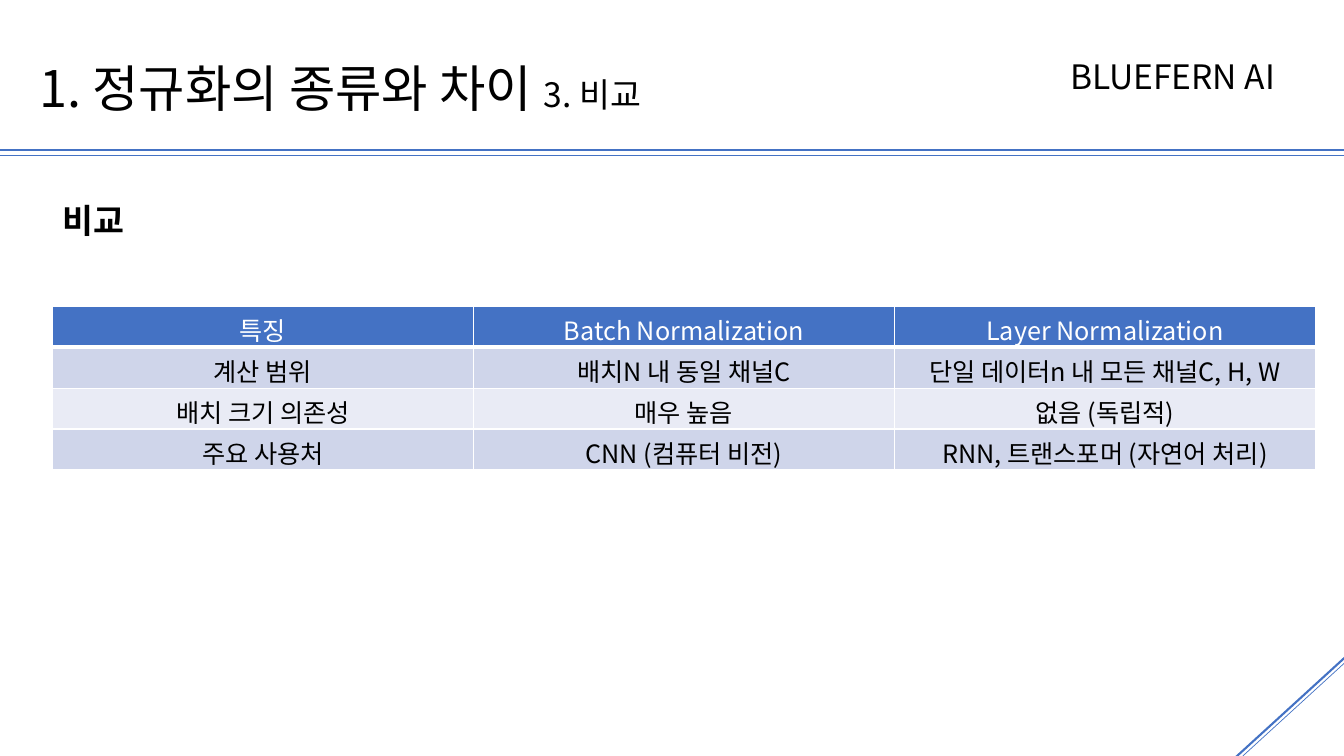
from dataclasses import dataclass

import pptx
import pptx.dml.color
import pptx.enum.shapes
import pptx.enum.text
import pptx.oxml
import pptx.oxml.ns
import pptx.oxml.xmlchemy
import pptx.slide
import pptx.table
import pptx.text.text
import pptx.util
from pptx.util import Cm

ALIGN = pptx.enum.text.PP_ALIGN
ANCHOR = pptx.enum.text.MSO_ANCHOR
qn = pptx.oxml.ns.qn


@dataclass(frozen=True)
class Theme:
    font: str = "Noto Sans CJK KR"
    accent: str = "4472C4"
    text: str = "000000"
    white: str = "FFFFFF"
    bands: tuple[str, str] = ("CFD5EA", "E9EBF5")
    title_size: int = 36
    heading_size: int = 24
    table_size: int = 18


@dataclass(frozen=True)
class Rule:
    start: tuple[float, float]
    end: tuple[float, float]
    weight: float


@dataclass(frozen=True)
class Label:
    box: tuple[float, float, float, float]
    runs: tuple[tuple[str, int], ...]
    anchor: ANCHOR = ANCHOR.TOP
    align: ALIGN = ALIGN.LEFT
    line_spacing: float = 0.9
    space_before: int = 0
    bold: bool = False


THEME = Theme()

# Positions in centimetres
RULES = [
    Rule((0, 3.78), (33.87, 3.78), 1.5),
    Rule((0, 3.91), (33.87, 3.91), 0.5),
    Rule((31.01, 19.2), (34.01, 16.46), 1.5),
    Rule((31.32, 19.05), (34.01, 16.59), 0.5),
]

LABELS = [
    Label((26.47, 1.4, 6.35, 1.45), (("BLUEFERN AI ", THEME.heading_size),),
          align=ALIGN.CENTER, space_before=10),
    Label((0.74, 1.45, 29.21, 1.7),
          (("1. 정규화의 종류와 차이 ", THEME.title_size), ("3. 비교", THEME.heading_size)),
          anchor=ANCHOR.MIDDLE),
    Label((1.32, 5.03, 14.33, 1.14), (("비교", THEME.heading_size),),
          anchor=ANCHOR.BOTTOM, line_spacing=0.8, space_before=10, bold=True),
]

COMPARISON = [
    ("특징", "Batch Normalization", "Layer Normalization"),
    ("계산 범위", "배치N 내 동일 채널C", "단일 데이터n 내 모든 채널C, H, W"),
    ("배치 크기 의존성", "매우 높음", "없음 (독립적)"),
    ("주요 사용처", "CNN (컴퓨터 비전)", "RNN, 트랜스포머 (자연어 처리)"),
]


def rgb(value: str) -> pptx.dml.color.RGBColor:
    return pptx.dml.color.RGBColor.from_string(value)


def add_element(parent: pptx.oxml.xmlchemy.BaseOxmlElement, tag: str,
                **attributes: str) -> pptx.oxml.xmlchemy.BaseOxmlElement:
    element = pptx.oxml.parse_xml(f"<{tag} {pptx.oxml.ns.nsdecls('a')}/>")
    for name, value in attributes.items():
        element.set(name, value)
    parent.append(element)
    return element


def style_paragraph(paragraph: pptx.text.text._Paragraph, size: int, color: str,
                    align: ALIGN, bold: bool = False) -> None:
    paragraph.alignment = align
    font = paragraph.font
    font.name, font.size, font.bold = THEME.font, pptx.util.Pt(size), bold
    font.color.rgb = rgb(color)
    # Korean glyphs take the East Asian typeface
    defaults = paragraph._p.pPr.find(qn("a:defRPr"))
    add_element(defaults, "a:ea", typeface=THEME.font)


def draw_rule(slide: pptx.slide.Slide, rule: Rule) -> None:
    connector = slide.shapes.add_connector(
        pptx.enum.shapes.MSO_CONNECTOR.STRAIGHT, *map(Cm, rule.start + rule.end))
    connector.line.color.rgb = rgb(THEME.accent)
    connector.line.width = pptx.util.Pt(rule.weight)
    add_element(connector._element.spPr, "a:effectLst")


def draw_label(slide: pptx.slide.Slide, label: Label) -> None:
    frame = slide.shapes.add_textbox(*map(Cm, label.box)).text_frame
    frame.word_wrap = True
    frame.vertical_anchor = label.anchor
    paragraph = frame.paragraphs[0]
    paragraph.line_spacing = label.line_spacing
    paragraph.space_before = pptx.util.Pt(label.space_before)
    style_paragraph(paragraph, label.runs[0][1], THEME.text, label.align, label.bold)
    for text, size in label.runs:
        run = paragraph.add_run()
        run.text = text
        if len(label.runs) > 1:
            run.font.size = pptx.util.Pt(size)


def draw_borders(cell: pptx.table._Cell, top: int, bottom: int) -> None:
    properties = cell._tc.get_or_add_tcPr()
    for side, points in (("L", 1), ("R", 1), ("T", top), ("B", bottom)):
        border = add_element(properties, f"a:ln{side}", w=str(pptx.util.Pt(points)))
        fill = add_element(border, "a:solidFill")
        add_element(fill, "a:srgbClr", val=THEME.white)


def draw_table(slide: pptx.slide.Slide, rows: list[tuple[str, ...]]) -> None:
    frame = slide.shapes.add_table(
        len(rows), len(rows[0]), Cm(1.32), Cm(7.72), Cm(31.83), Cm(4.12))
    table = frame.table
    # Cell formatting is explicit, so the built-in style is dropped
    table_properties = table._tbl.tblPr
    table_properties.remove(table_properties.find(qn("a:tableStyleId")))
    for row_index, row in enumerate(rows):
        header = row_index == 0
        for column_index, text in enumerate(row):
            cell = table.cell(row_index, column_index)
            cell.text = text
            style_paragraph(cell.text_frame.paragraphs[0], THEME.table_size,
                            THEME.white if header else THEME.text, ALIGN.CENTER)
            draw_borders(cell, top=3 if row_index == 1 else 1, bottom=3 if header else 1)
            cell.fill.solid()
            cell.fill.fore_color.rgb = rgb(
                THEME.accent if header else THEME.bands[(row_index - 1) % 2])


def main() -> None:
    presentation = pptx.Presentation()
    presentation.slide_width, presentation.slide_height = Cm(33.87), Cm(19.05)
    slide = presentation.slides.add_slide(presentation.slide_layouts[6])

    # Header and corner lines
    for rule in RULES:
        draw_rule(slide, rule)

    # Brand, title and section heading
    for label in LABELS:
        draw_label(slide, label)

    # Comparison table
    draw_table(slide, COMPARISON)
    presentation.save("out.pptx")


if __name__ == "__main__":
    main()
